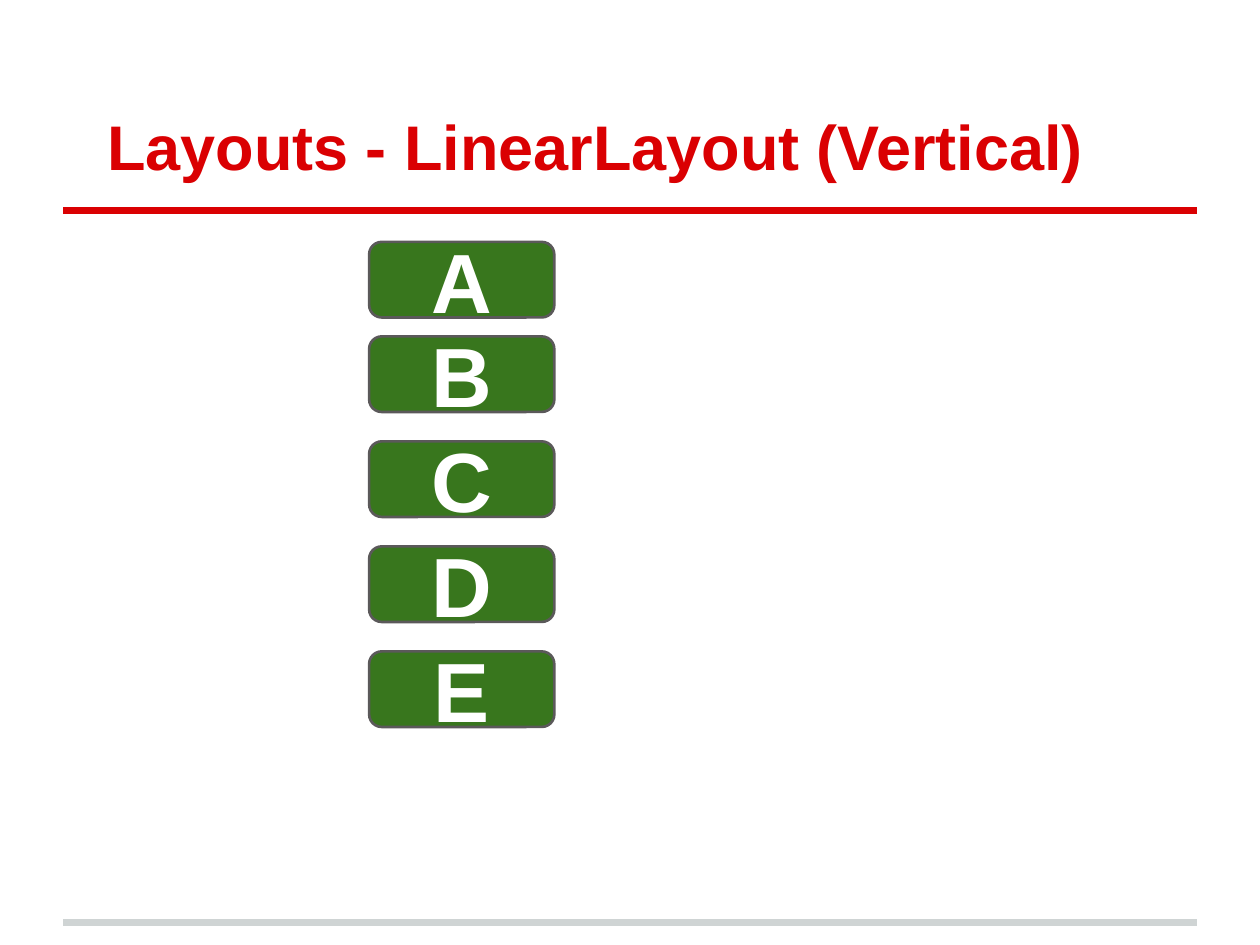
from pptx import Presentation
from pptx.dml.color import RGBColor
from pptx.enum.shapes import MSO_CONNECTOR, MSO_SHAPE
from pptx.enum.text import MSO_ANCHOR, MSO_AUTO_SIZE, PP_ALIGN
from pptx.oxml.ns import qn
from pptx.util import Inches, Pt
from lxml.etree import SubElement

COLORS = {
    "red": "DA0002",
    "rule": "CFD4D4",
    "green": "38761D",
    "border": "5B595A",
    "white": "FFFFFF",
}


def rgb(name):
    return RGBColor.from_string(COLORS[name])


def set_text(sp, text, size, color, align=PP_ALIGN.LEFT,
             anchor=MSO_ANCHOR.MIDDLE, indent=0):
    tf = sp.text_frame
    tf.word_wrap = True
    tf.auto_size = MSO_AUTO_SIZE.NONE
    tf.vertical_anchor = anchor
    tf.margin_left = tf.margin_right = Inches(0.1)
    tf.margin_top = tf.margin_bottom = Inches(0.1)
    p = tf.paragraphs[0]
    p.alignment = align
    if indent:
        pPr = p._p.get_or_add_pPr()
        pPr.set("marL", "0")
        pPr.set("indent", str(Inches(indent)))
    r = p.add_run()
    r.text = text
    r.font.name = "Arial"
    r.font.size = Pt(size)
    r.font.bold = True
    r.font.color.rgb = rgb(color)


def add_rule(s, y, color):
    line = s.shapes.add_connector(
        MSO_CONNECTOR.STRAIGHT, Inches(0.5), Inches(y), Inches(9.5), Inches(y))
    line.line.color.rgb = rgb(color)
    line.line.width = Pt(4)
    SubElement(line._element.spPr, qn("a:effectLst"))


def add_title(s, text):
    sp = s.shapes.title
    sp.left, sp.top = Inches(0.5), Inches(0.3)
    sp.width, sp.height = Inches(9), Inches(1.25)
    set_text(sp, text, 36, "red", anchor=MSO_ANCHOR.BOTTOM, indent=0.25)


def add_button(s, y, label):
    sp = s.shapes.add_shape(
        MSO_SHAPE.ROUNDED_RECTANGLE,
        Inches(2.93), Inches(y), Inches(1.47), Inches(0.6))
    sp.shadow.inherit = False
    sp.fill.solid()
    sp.fill.fore_color.rgb = rgb("green")
    sp.line.color.rgb = rgb("border")
    sp.line.width = Pt(1.5)
    set_text(sp, label, 48, "white", align=PP_ALIGN.CENTER)


def main():
    prs = Presentation()
    prs.slide_width, prs.slide_height = Inches(10), Inches(7.5)
    s = prs.slides.add_slide(prs.slide_layouts[5])

    # Footer and title rules
    add_rule(s, 7.32, "rule")
    add_rule(s, 1.67, "red")

    add_title(s, "Layouts - LinearLayout (Vertical)")

    # Vertical stack: A on top, the rest evenly spaced below
    add_button(s, 1.92, "A")
    for i, label in enumerate("BCDE"):
        add_button(s, 2.67 + i * 2.5 / 3, label)

    prs.save("out.pptx")


if __name__ == "__main__":
    main()
